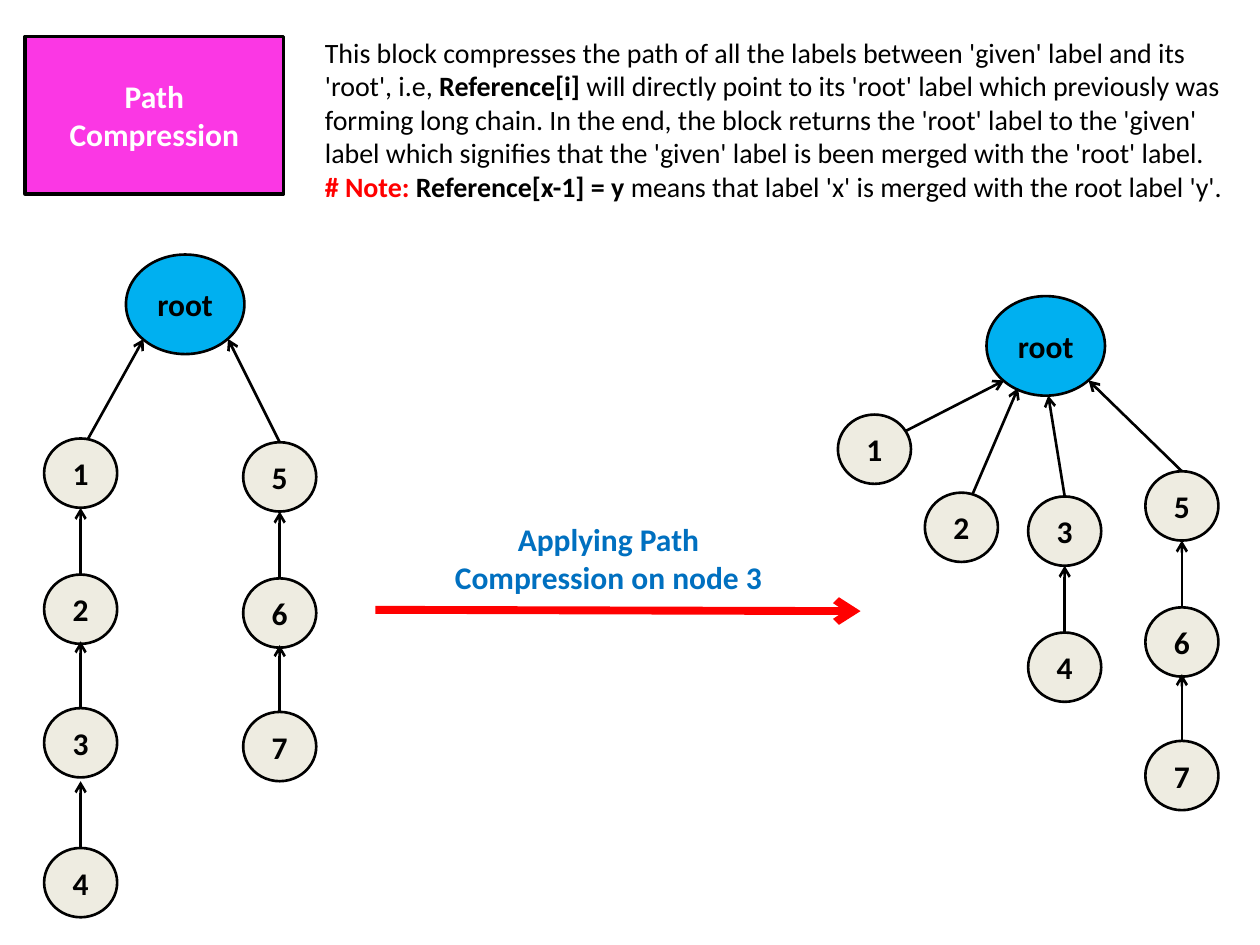
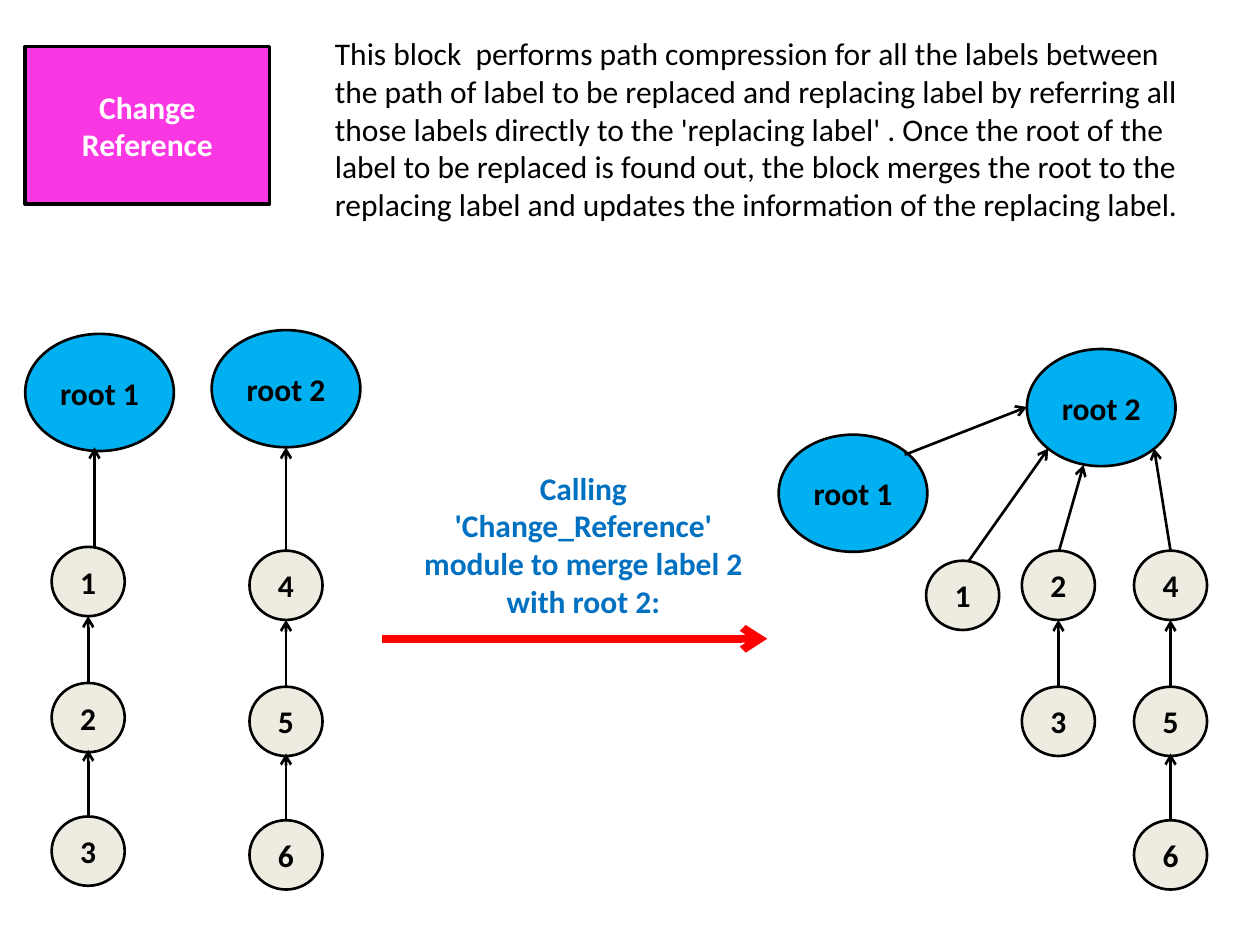
from lxml.etree import SubElement
from pptx import Presentation
from pptx.dml.color import RGBColor
from pptx.enum.shapes import MSO_CONNECTOR, MSO_SHAPE
from pptx.enum.text import MSO_ANCHOR, MSO_AUTO_SIZE, PP_ALIGN
from pptx.oxml.ns import qn
from pptx.util import Emu, Pt

# Shared scale, colours and sizes: 100 px to the inch
PX = 9144
FONT = "Calibri"
BLACK = RGBColor(0x00, 0x00, 0x00)
WHITE = RGBColor(0xFF, 0xFF, 0xFF)
RED = RGBColor(0xFF, 0x00, 0x00)
PINK = RGBColor(0xFB, 0x37, 0xE4)
ROOT_BLUE = RGBColor(0x00, 0xB0, 0xF0)
STEP_BLUE = RGBColor(0x00, 0x70, 0xC0)
NODE_CREAM = RGBColor(0xEE, 0xEC, 0xE1)
NODE_SIZE = (58, 55)
CHAIN_DROPS = (0, 108, 214, 325)
ARROW_RISE = 55
ARROW_OVERLAP = 2


def px(*lengths):
    return [Emu(length * PX) for length in lengths]


def put_text(shape, paragraphs, size=18, color=BLACK, bold=False,
             align=PP_ALIGN.LEFT, anchor=MSO_ANCHOR.TOP, wrap=True,
             insets=(10, 5), fit=MSO_AUTO_SIZE.NONE):
    """Each paragraph is a list of (text, format changes) runs."""
    frame = shape.text_frame
    frame.word_wrap = wrap
    frame.auto_size = fit
    frame.vertical_anchor = anchor
    frame.margin_left = frame.margin_right = Emu(insets[0] * PX)
    frame.margin_top = frame.margin_bottom = Emu(insets[1] * PX)
    for index, runs in enumerate(paragraphs):
        paragraph = frame.add_paragraph() if index else frame.paragraphs[0]
        paragraph.alignment = align
        for words, changes in runs:
            run = paragraph.add_run()
            run.text = words
            run.font.name = FONT
            run.font.size = Pt(size)
            run.font.bold = changes.get("bold", bold)
            run.font.color.rgb = changes.get("color", color)


def paint(shape, fill, line_width):
    shape.fill.solid()
    shape.fill.fore_color.rgb = fill
    shape.line.color.rgb = BLACK
    shape.line.width = Pt(line_width)


def add_arrow(slide, start, tip, color=BLACK, width=1.5):
    arrow = slide.shapes.add_connector(MSO_CONNECTOR.STRAIGHT, *px(*start, *tip))
    arrow.line.color.rgb = color
    arrow.line.width = Pt(width)
    SubElement(arrow.line._get_or_add_ln(), qn("a:tailEnd"), type="arrow")
    SubElement(arrow._element.spPr, qn("a:effectLst"))


def add_node(slide, label, at, size=NODE_SIZE, fill=NODE_CREAM):
    node = slide.shapes.add_shape(MSO_SHAPE.OVAL, *px(*at, *size))
    node.shadow.inherit = False
    paint(node, fill, 1.5)
    put_text(node, [[(label, {})]], bold=True, align=PP_ALIGN.CENTER,
             anchor=MSO_ANCHOR.MIDDLE, wrap=False, insets=(0, 0))


def add_header(slide, title, title_box, description, description_box, size):
    # Block name
    block = slide.shapes.title
    block.left, block.top, block.width, block.height = px(*title_box)
    paint(block, PINK, 2)
    put_text(block, [[(title, {})]], color=WHITE, bold=True,
             align=PP_ALIGN.CENTER, anchor=MSO_ANCHOR.MIDDLE)
    # What the block does
    text_box = slide.shapes.add_textbox(*px(*description_box))
    put_text(text_box, description, size=size, fit=MSO_AUTO_SIZE.SHAPE_TO_FIT_TEXT)


def add_step(slide, caption, caption_box, start, tip):
    text_box = slide.shapes.add_textbox(*px(*caption_box))
    put_text(text_box, [[(caption, {})]], color=STEP_BLUE, bold=True,
             align=PP_ALIGN.CENTER, fit=MSO_AUTO_SIZE.SHAPE_TO_FIT_TEXT)
    add_arrow(slide, start, tip, RED, 4.5)


def add_tree(slide, origin, root_size, roots, chains, links=()):
    """Roots, chains and links are placed relative to the tree's origin."""
    def place(point, dx=0, dy=0):
        return origin[0] + point[0] + dx, origin[1] + point[1] + dy

    for label, at in roots:
        add_node(slide, label, place(at), root_size, ROOT_BLUE)
    for labels, head, start, tip in chains:
        add_arrow(slide, place(start), place(tip))
        for label, drop in zip(labels, CHAIN_DROPS):
            if drop:
                foot = place(head, NODE_SIZE[0] // 2, drop + ARROW_OVERLAP)
                add_arrow(slide, foot, (foot[0], foot[1] - ARROW_RISE))
            add_node(slide, label, place(head, dy=drop))
    for start, tip in links:
        add_arrow(slide, place(start), place(tip))


def build_path_compression(slide):
    strong = {"bold": True}
    add_header(
        slide, "Path Compression", (20, 29, 205, 125),
        [[("This block compresses the path of all the labels between 'given' label "
           "and its 'root', i.e,", {}),
          (" Reference[i]", strong),
          (" will directly point to its 'root' label which previously was forming "
           "long chain. In the end, the block returns the 'root' label to the 'given' "
           "label which signifies that the 'given' label is been merged with the "
           "'root' label.", {})],
         [("# Note: ", {"bold": True, "color": RED}),
          ("Reference[x-1] = y ", strong),
          ("means that label 'x' is merged with the root label 'y'.", {})]],
        (248, 23, 748, 145), size=16)
    # Before compression
    add_tree(slide, (35, 202), (94, 79), [("root", (65, 0))],
             [("1234", (0, 146), (35, 146), (79, 67)),
              ("567", (158, 149), (187, 149), (146, 67))])
    add_step(slide, "Applying Path Compression on node 3",
             (345, 408, 276, 71), (298, 484), (683, 485))
    # After compression
    add_tree(slide, (665, 235), (94, 79), [("root", (118, 0))],
             [("1", (0, 94), (54, 107), (132, 67)),
              ("2", (69, 156), (107, 157), (143, 73)),
              ("34", (151, 159), (180, 159), (167, 79)),
              ("567", (244, 139), (273, 139), (199, 67))])


def build_change_reference(slide):
    add_header(
        slide, "Change Reference", (20, 37, 194, 125),
        [[("This block  performs path compression for all the labels between the path "
           "of label to be replaced and replacing label by referring all those labels "
           "directly to the 'replacing label' . Once the root of the label to be "
           "replaced is found out, the block merges the root to the replacing label "
           "and updates the information of the replacing label.", {})]],
        (256, 22, 706, 162), size=18)
    # Before the merge
    add_tree(slide, (20, 262), (118, 93), [("root 1", (0, 3)), ("root 2", (148, 0))],
             [("123", (21, 172), (55, 172), (55, 93)),
              ("456", (178, 175), (207, 175), (207, 93))])
    add_step(slide, "Calling 'Change_Reference' module to merge label 2 with root 2:",
             (317, 367, 292, 131), (303, 507), (609, 507))
    # After the merge
    add_tree(slide, (618, 277), (118, 93), [("root 2", (197, 0)), ("root 1", (0, 68))],
             [("456", (282, 160), (311, 160), (298, 79)),
              ("1", (117, 168), (151, 168), (214, 79)),
              ("23", (193, 160), (222, 162), (242, 92))],
             links=[((100, 84), (197, 46))])


def main():
    deck = Presentation()
    deck.slide_width, deck.slide_height = px(1000, 750)
    title_only = deck.slide_layouts[5]
    for build in (build_path_compression, build_change_reference):
        build(deck.slides.add_slide(title_only))
    deck.save("out.pptx")


if __name__ == "__main__":
    main()
